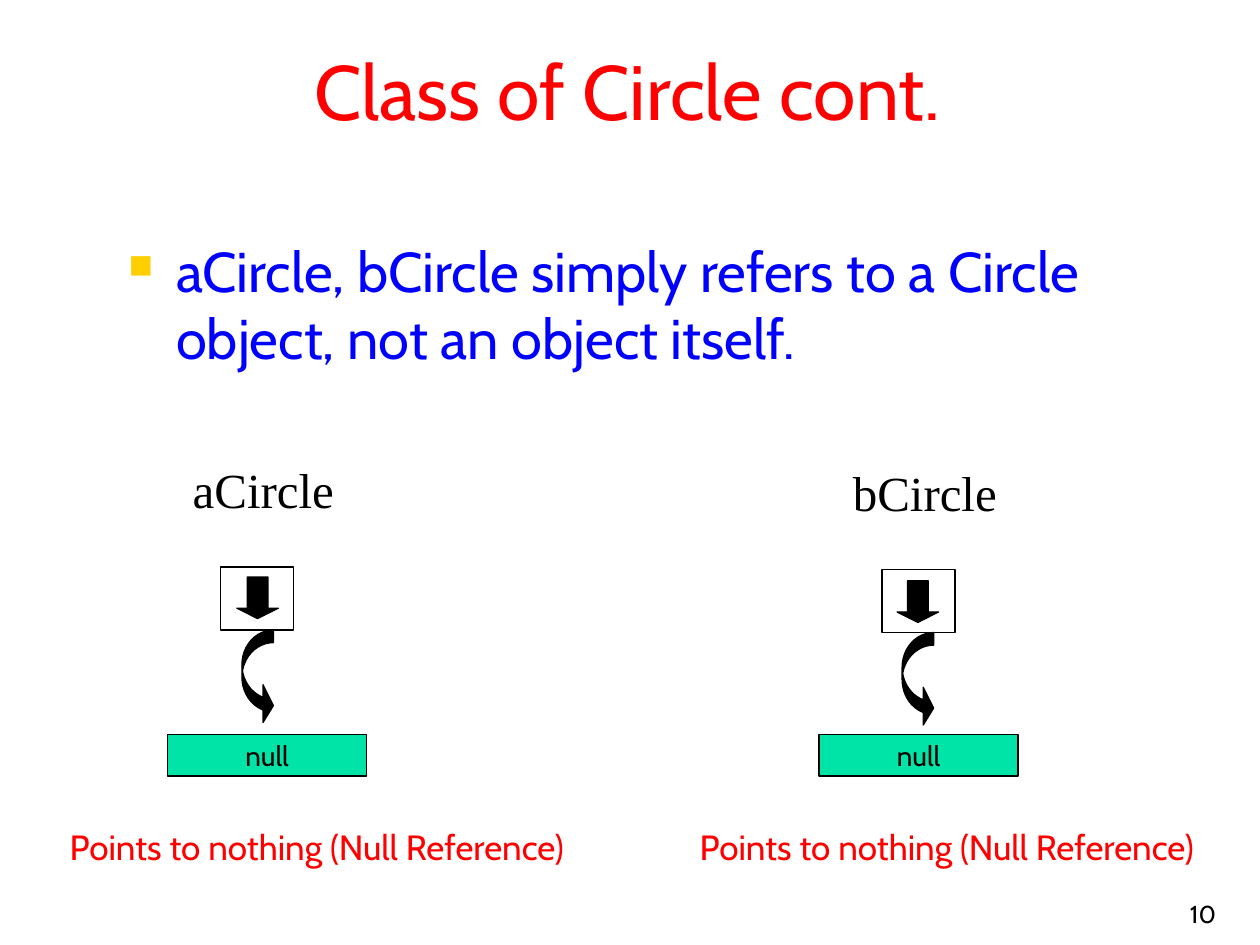
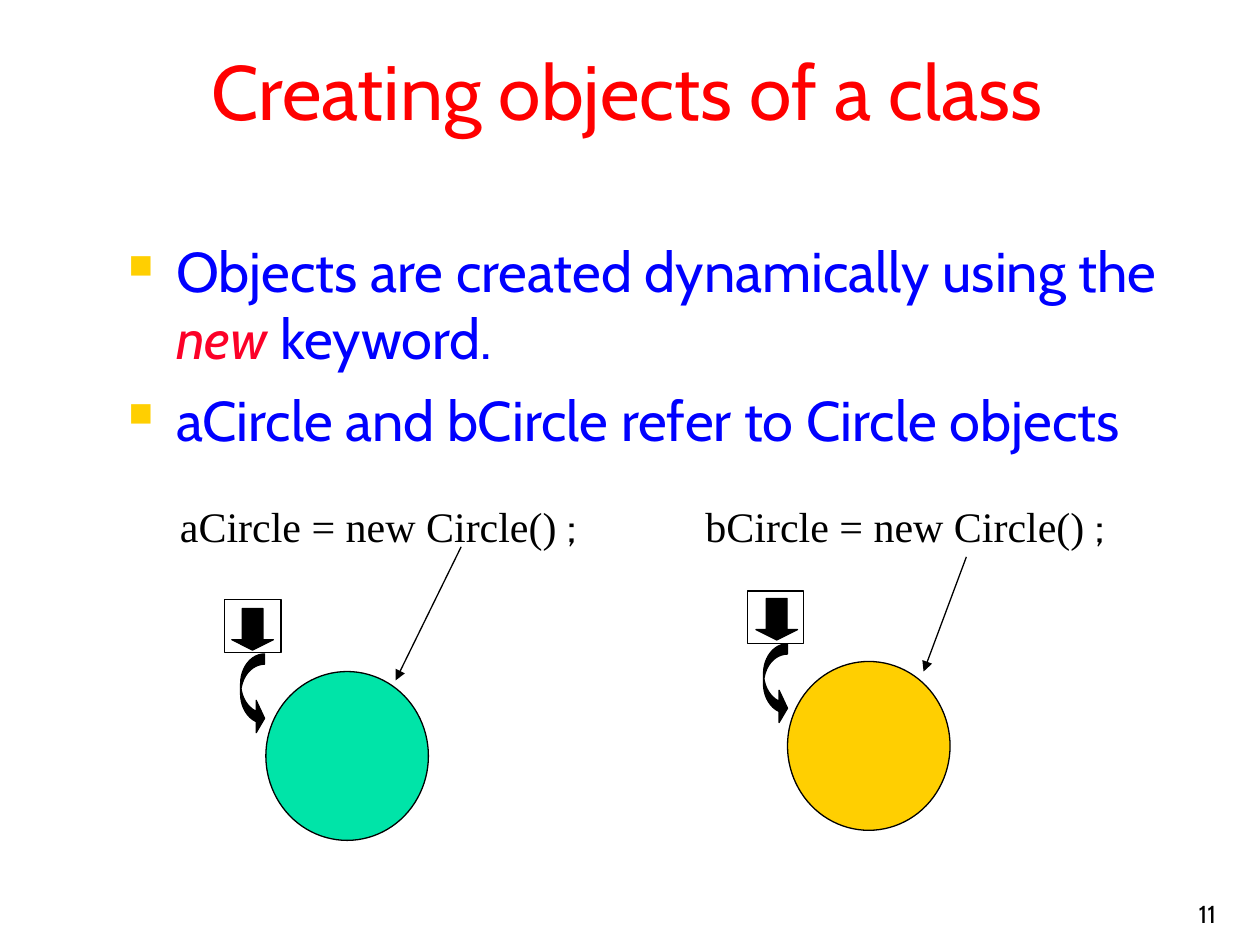
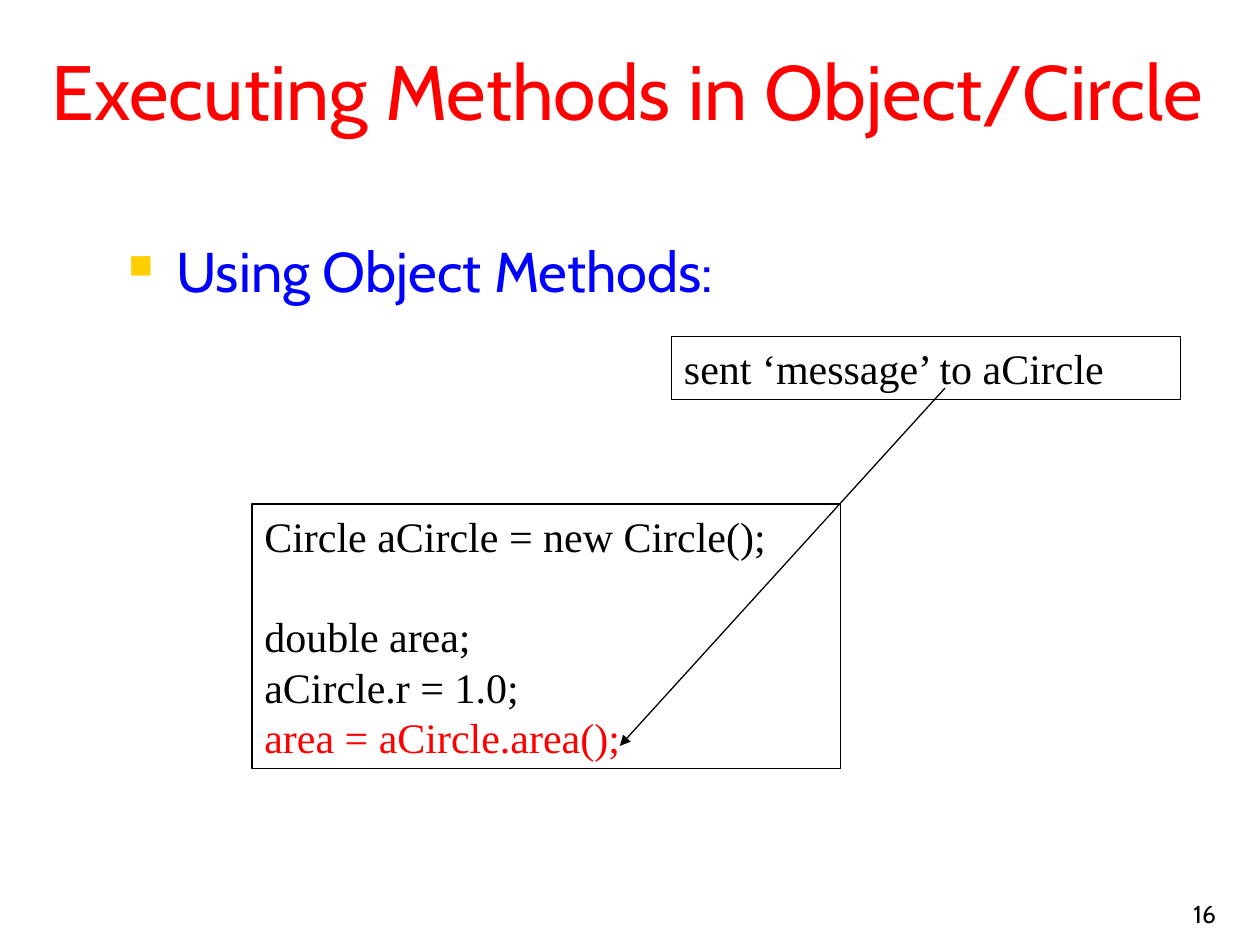
from lxml import etree
from pptx import Presentation
from pptx import util as u
from pptx.dml.color import RGBColor
from pptx.enum import shapes, text
from pptx.oxml.ns import qn

COLORS = {
    "white": "FFFFFF", "black": "000000", "red": "FF0000", "blue": "0000FF",
    "crimson": "FC0128", "gold": "FFCF01", "green": "00E4A8",
}
SANS, SERIF = "Cabin", "Times New Roman"
KIND = shapes.MSO_SHAPE
ALIGN, ANCHOR = text.PP_ALIGN, text.MSO_ANCHOR


def add_box(slide, kind, place, fill=None, line=None):
    box = slide.shapes.add_shape(kind, *[u.Inches(v) for v in place])
    box.shadow.inherit = False
    if fill:
        box.fill.solid()
        box.fill.fore_color.rgb = RGBColor.from_string(COLORS[fill])
    else:
        box.fill.background()
    if line:
        box.line.color.rgb = RGBColor.from_string(COLORS[line])
        box.line.width = u.Pt(0.75)
    else:
        box.line.fill.background()
    return box


def write(box, paragraphs, size, align=ALIGN.LEFT, anchor=ANCHOR.TOP, wrap=True):
    """Each paragraph is a list of runs: (words, font, colour[, italic])."""
    frame = box.text_frame
    frame.word_wrap = wrap
    frame.vertical_anchor = anchor
    for i, runs in enumerate(paragraphs):
        paragraph = frame.paragraphs[0] if i == 0 else frame.add_paragraph()
        paragraph.alignment = align
        for words, font, color, *italic in runs:
            run = paragraph.add_run()
            run.text = words
            run.font.name = font
            run.font.size = u.Pt(size)
            run.font.color.rgb = RGBColor.from_string(COLORS[color])
            if italic:
                run.font.italic = True
    return frame.paragraphs


prs = Presentation()
prs.slide_width, prs.slide_height = u.Inches(10), u.Inches(7.5)

# Title, bullets and page number of every slide
contents = [
    ("Class of Circle cont.", "10", [
        [("aCircle, bCircle simply refers to a Circle object, not an object itself.",
          SANS, "blue")]]),
    ("Creating objects of a class", "11", [
        [("Objects are created dynamically using the ", SANS, "blue"),
         ("new", SANS, "crimson", True), (" keyword.", SANS, "blue")],
        [("aCircle and bCircle refer to Circle objects", SANS, "blue")]]),
    ("Executing Methods in Object/Circle", "16", [
        [("Using Object Methods:", SANS, "blue")]]),
]
slides = []
for title, number, bullets in contents:
    slide = prs.slides.add_slide(prs.slide_layouts[6])
    slides.append(slide)
    heading = add_box(slide, KIND.RECTANGLE, (0.17, 0.17, 9.62, 1.08), "white")
    write(heading, [[(title, SANS, "red")]], 44, ALIGN.CENTER, ANCHOR.MIDDLE)

    body = slide.shapes.add_textbox(*[u.Inches(v) for v in (0.92, 1.83, 8.83, 4.87)])
    for paragraph in write(body, bullets, 32):
        paragraph.space_before = u.Pt(8)
        props = paragraph._p.get_or_add_pPr()
        props.set("marL", str(u.Inches(0.38)))
        props.set("indent", str(u.Inches(-0.38)))
        bullet_color = etree.SubElement(props, qn("a:buClr"))
        etree.SubElement(bullet_color, qn("a:srgbClr"), val=COLORS["gold"])
        etree.SubElement(props, qn("a:buSzPct"), val="60000")
        etree.SubElement(props, qn("a:buChar"), char="■")

    page = slide.shapes.add_textbox(*[u.Inches(v) for v in (7.67, 6.92, 2.08, 0.5)])
    write(page, [[(number, SANS, "black")]], 14, ALIGN.RIGHT, ANCHOR.BOTTOM)

null_slide, new_slide, method_slide = slides

# Null references: name, null box and caption
for name, name_place, null_left, caption_left in [
    ("aCircle", (1.43, 3.6, 1.32, 0.57), 1.33, 0.21),
    ("bCircle", (6.67, 3.62, 1.34, 0.57), 6.5, 5.21),
]:
    label = add_box(null_slide, KIND.RECTANGLE, name_place)
    write(label, [[(name, SERIF, "black")]], 28, ALIGN.CENTER, wrap=False)
    null = add_box(null_slide, KIND.RECTANGLE, (null_left, 5.83, 1.58, 0.33), "green", "black")
    write(null, [[("null", SANS, "black")]], 16, ALIGN.CENTER, ANCHOR.MIDDLE, False)
    caption = add_box(null_slide, KIND.RECTANGLE, (caption_left, 6.5, 4.61, 0.44))
    write(caption, [[("Points to nothing (Null Reference)", SANS, "red")]], 20,
          ALIGN.CENTER, wrap=False)

# New objects: statement and circle
for name, left, width, circle_place, color in [
    ("aCircle", 1.33, 3.5, (2.11, 5.33, 1.29, 1.34), "green"),
    ("bCircle", 5.5, 4.25, (6.25, 5.25, 1.29, 1.34), "gold"),
]:
    statement = add_box(new_slide, KIND.RECTANGLE, (left, 3.92, width, 0.5), None, "white")
    write(statement, [[(f"{name} = new Circle() ", SERIF, "black"), (";", SANS, "black")]], 24)
    add_box(new_slide, KIND.OVAL, circle_place, color, "black")

# Reference cells, each with a down arrow and a curved arrow below
for slide, cell, down, curve, bends in [
    (null_slide, (1.75, 4.5, 0.58, 0.5), (1.88, 4.58), (1.92, 5, 0.25, 0.75), (0.4, 1.2, 0.33)),
    (null_slide, (7, 4.52, 0.58, 0.5), (7.12, 4.61), (7.16, 5.02, 0.25, 0.75), (0.4, 1.2, 0.33)),
    (new_slide, (1.78, 4.76, 0.45, 0.42), (1.84, 4.83), (1.91, 5.19, 0.19, 0.64), (0.43, 1.35, 0.35)),
    (new_slide, (5.93, 4.69, 0.45, 0.42), (6, 4.75), (6.06, 5.11, 0.19, 0.64), (0.43, 1.35, 0.35)),
]:
    add_box(slide, KIND.RECTANGLE, cell, "white", "black")
    add_box(slide, KIND.DOWN_ARROW, (*down, 0.33, 0.33), "black", "black").adjustments[1] = 0.25
    curved = add_box(slide, KIND.CURVED_RIGHT_ARROW, curve, "black", "black")
    for i, bend in enumerate(bends):
        curved.adjustments[i] = bend

# Method call: code and message
code = add_box(method_slide, KIND.RECTANGLE, (2, 4, 4.67, 2.1), None, "black")
code_lines = write(code, [
    [("Circle aCircle = new Circle();", SERIF, "black")],
    [("double area;", SERIF, "black")],
    [("aCircle.r = 1.0;", SERIF, "black")],
    [("area = aCircle.area();", SERIF, "red")],
], 24)
code_lines[1].space_before = u.Pt(28.8)
message = add_box(method_slide, KIND.RECTANGLE, (5.33, 2.67, 4.04, 0.5), None, "black")
write(message, [[("sent ‘message’ to aCircle", SERIF, "black")]], 24)

# Pointer lines
for slide, *ends in [
    (new_slide, 3.66, 4.34, 3.14, 5.4),
    (new_slide, 7.67, 4.42, 7.33, 5.33),
    (method_slide, 7.5, 3.08, 4.92, 5.92),
]:
    pointer = slide.shapes.add_connector(
        shapes.MSO_CONNECTOR.STRAIGHT, *[u.Inches(v) for v in ends])
    pointer.line.color.rgb = RGBColor.from_string(COLORS["black"])
    pointer.line.width = u.Pt(0.75)
    etree.SubElement(pointer.line._get_or_add_ln(), qn("a:tailEnd"), type="triangle")
    etree.SubElement(pointer._element.spPr, qn("a:effectLst"))

prs.save("out.pptx")
